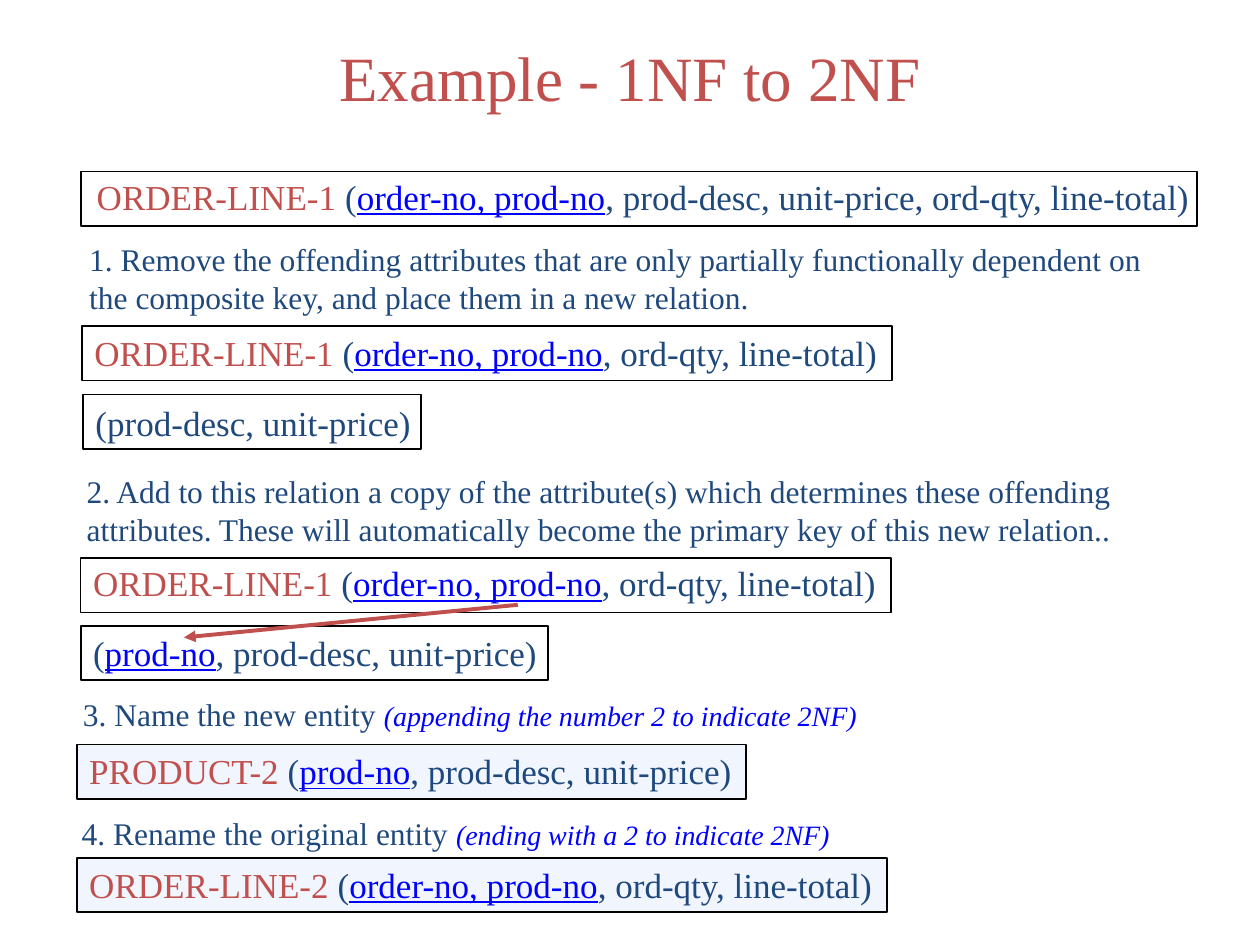
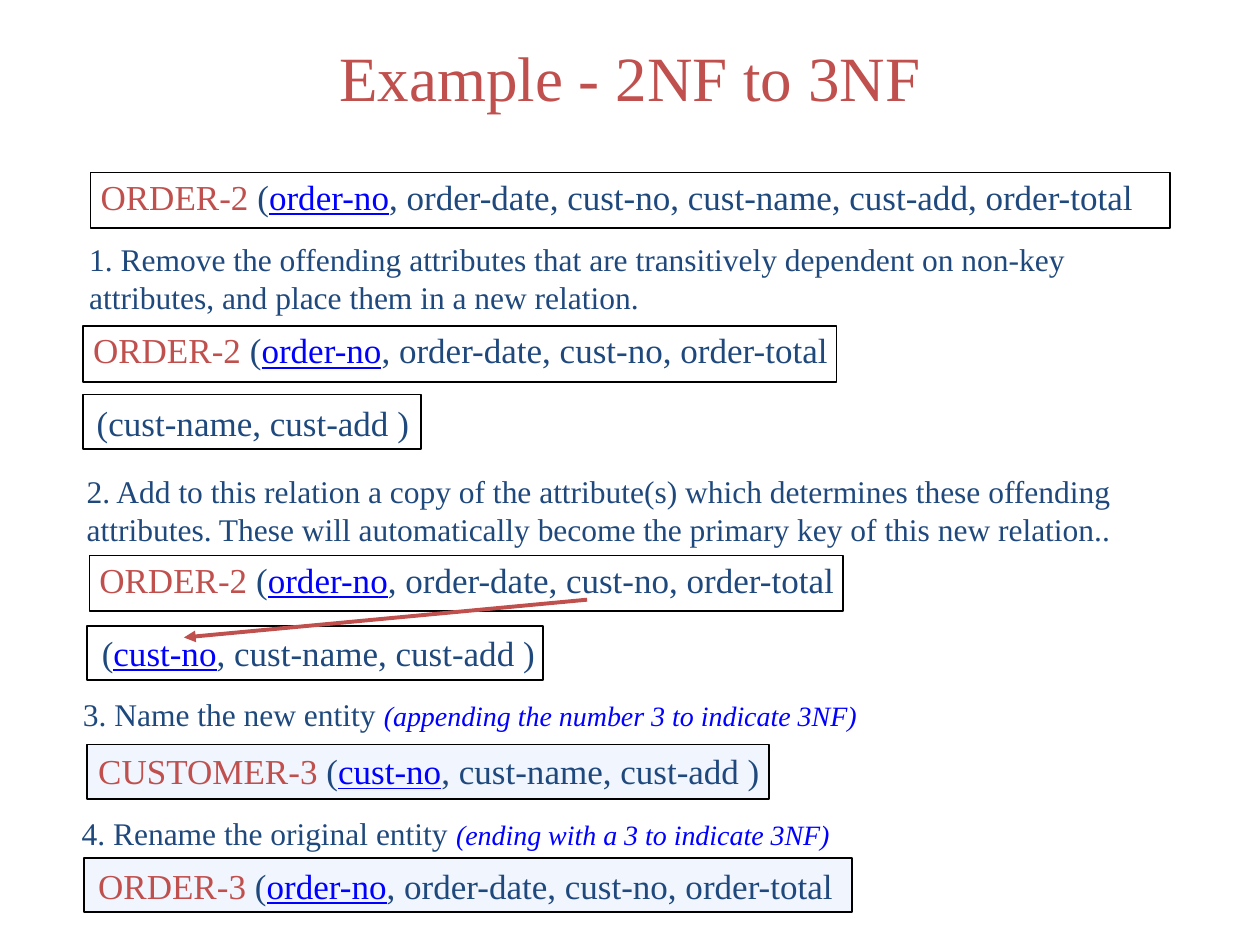
from dataclasses import dataclass

import lxml.etree
import pptx
import pptx.dml.color
import pptx.enum.shapes
import pptx.enum.text
import pptx.oxml.ns
import pptx.util

Pt = pptx.util.Pt

FONT = "Times New Roman"
RED, NAVY, BLUE = "C0504D", "1F497D", "0000FF"
BLACK, WHITE, PALE_BLUE = "000000", "FFFFFF", "F0F5FE"
RELATION_SIZE, STEP_SIZE, NOTE_SIZE = 20, 18, 16
TEXT_HEIGHT = 31.5
ARROW_TIP = (105.1, 364.3)


@dataclass(frozen=True)
class Span:
    text: str
    size: float
    color: str
    underline: bool = False
    italic: bool = False


@dataclass(frozen=True)
class Area:
    left: float
    top: float
    width: float
    height: float


@dataclass(frozen=True)
class Relation:
    name: str
    key: str
    others: str
    frame: Area
    text_left: float
    text_top: float
    text_width: float
    fill: str = WHITE


@dataclass(frozen=True)
class Step:
    text: str
    note: str
    area: Area
    line_spacing: float = 1.0


@dataclass(frozen=True)
class Example:
    level: int
    offending: str
    relations: list[Relation]
    arrow_start: tuple[float, float]


def rgb(color: str) -> pptx.dml.color.RGBColor:
    return pptx.dml.color.RGBColor.from_string(color)


def points(area: Area) -> list[pptx.util.Length]:
    return [Pt(length) for length in (area.left, area.top, area.width, area.height)]


def add_text(page, area: Area, spans: list[Span], line_spacing: float = 1.0):
    box = page.shapes.add_textbox(*points(area))
    frame = box.text_frame
    frame.word_wrap = True
    para = frame.paragraphs[0]
    para.line_spacing = line_spacing
    for span in spans:
        run = para.add_run()
        run.text = span.text
        run.font.name = FONT
        run.font.size = Pt(span.size)
        run.font.color.rgb = rgb(span.color)
        run.font.underline = span.underline
        run.font.italic = span.italic
    return box


def add_title(page, level: int) -> None:
    title = f"Example - {level - 1}NF to {level}NF"
    box = add_text(page, Area(0, 0, 720, 87), [Span(title, 36, RED)])
    box.text_frame.vertical_anchor = pptx.enum.text.MSO_ANCHOR.MIDDLE
    box.text_frame.paragraphs[0].alignment = pptx.enum.text.PP_ALIGN.CENTER


def add_relation(page, relation: Relation) -> None:
    frame = page.shapes.add_shape(
        pptx.enum.shapes.MSO_SHAPE.RECTANGLE, *points(relation.frame)
    )
    frame.shadow.inherit = False
    frame.fill.solid()
    frame.fill.fore_color.rgb = rgb(relation.fill)
    frame.line.color.rgb = rgb(BLACK)
    frame.line.width = Pt(1)
    spans = [
        Span(relation.name, RELATION_SIZE, RED),
        Span(" (" if relation.name else "(", RELATION_SIZE, NAVY),
        Span(relation.key, RELATION_SIZE, BLUE, underline=True),
        Span(relation.others, RELATION_SIZE, NAVY),
    ]
    area = Area(
        relation.text_left, relation.text_top, relation.text_width, TEXT_HEIGHT
    )
    add_text(page, area, [span for span in spans if span.text])


def add_step(page, step: Step) -> None:
    spans = [Span(step.text, STEP_SIZE, NAVY)]
    if step.note:
        spans.append(Span(step.note, NOTE_SIZE, BLUE, italic=True))
    add_text(page, step.area, spans, step.line_spacing)


def add_key_arrow(page, start: tuple[float, float]) -> None:
    arrow = page.shapes.add_connector(
        pptx.enum.shapes.MSO_CONNECTOR.STRAIGHT,
        *[Pt(length) for length in ARROW_TIP + start],
    )
    arrow.line.color.rgb = rgb(RED)
    arrow.line.width = Pt(2.25)
    qn = pptx.oxml.ns.qn
    properties = arrow._element.spPr
    lxml.etree.SubElement(properties.find(qn("a:ln")), qn("a:headEnd"), type="triangle")
    lxml.etree.SubElement(properties, qn("a:effectLst"))


def steps_for(example: Example) -> list[Step]:
    level = example.level
    return [
        Step(
            f"1. Remove the offending attributes that are {example.offending}, "
            "and place them in a new relation.",
            "",
            Area(43.9, 133.9, 625.7, 50.4),
        ),
        Step(
            "2. Add to this relation a copy of the attribute(s) which determines "
            "these offending attributes. These will automatically become the "
            "primary key of this new relation..",
            "",
            Area(42.5, 266.4, 640, 50.4),
        ),
        Step(
            "3. Name the new entity ",
            f"(appending the number {level} to indicate {level}NF)",
            Area(40.3, 396, 457, 26.6),
            0.9,
        ),
        Step(
            "4. Rename the original entity ",
            f"(ending with a {level} to indicate {level}NF)",
            Area(39.6, 461.5, 443, 28.8),
        ),
    ]


def second_form() -> Example:
    key, kept = "order-no, prod-no", ", ord-qty, line-total)"
    moved = "prod-desc, unit-price)"
    return Example(
        2,
        "only partially functionally dependent on the composite key",
        [
            Relation("ORDER-LINE-1", key, f", {moved[:-1]}{kept}",
                     Area(46.1, 98, 638, 31), 48.2, 96.5, 641),
            Relation("ORDER-LINE-1", key, kept,
                     Area(46.8, 186.5, 463, 31), 46.8, 185.8, 464.5),
            Relation("", "", moved,
                     Area(47.5, 225.4, 193, 31), 47.5, 226, 196),
            Relation("ORDER-LINE-1", key, kept,
                     Area(46.1, 319, 463, 31), 46.1, 317.5, 464.5),
            Relation("", "prod-no", f", {moved}",
                     Area(46.1, 357.8, 267, 31), 46.1, 357.1, 269),
            Relation("PRODUCT-2", "prod-no", f", {moved}",
                     Area(43.9, 425.5, 382.5, 31), 43.9, 424.8, 384, PALE_BLUE),
            Relation("ORDER-LINE-2", key, kept,
                     Area(43.9, 490.3, 463, 31), 43.9, 489.6, 464.5, PALE_BLUE),
        ],
        (295.9, 345.6),
    )


def third_form() -> Example:
    key, kept = "order-no", ", order-date, cust-no, order-total"
    moved = "cust-name, cust-add )"
    return Example(
        3,
        "transitively dependent on non-key attributes",
        [
            Relation("ORDER-2", key,
                     ", order-date, cust-no, cust-name, cust-add, order-total",
                     Area(51.8, 98.6, 617, 31.7), 50.4, 96.5, 631),
            Relation("ORDER-2", key, kept,
                     Area(47.5, 186.5, 430.5, 31.7), 46.1, 184.3, 440),
            Relation("", "", moved,
                     Area(47.5, 225.4, 193, 31), 48.2, 226, 195),
            Relation("ORDER-2", key, kept,
                     Area(51.1, 317.5, 430.5, 31.7), 49.7, 315.4, 440),
            Relation("", "cust-no", f", {moved}",
                     Area(49.7, 357.8, 260.5, 31), 51.1, 357.1, 263),
            Relation("CUSTOMER-3", "cust-no", f", {moved}",
                     Area(49.7, 425.5, 390, 31), 49, 424.8, 394, PALE_BLUE),
            Relation("ORDER-3", key, kept,
                     Area(48.2, 490.3, 438.5, 31), 49, 490.3, 440, PALE_BLUE),
        ],
        (335.5, 342.7),
    )


def add_example(deck, example: Example) -> None:
    page = deck.slides.add_slide(deck.slide_layouts[6])
    add_title(page, example.level)
    for relation in example.relations:
        add_relation(page, relation)
    for step in steps_for(example):
        add_step(page, step)
    add_key_arrow(page, example.arrow_start)


def main() -> None:
    deck = pptx.Presentation()
    deck.slide_width, deck.slide_height = Pt(720), Pt(540)
    for example in (second_form(), third_form()):
        add_example(deck, example)
    deck.save("out.pptx")


if __name__ == "__main__":
    main()
